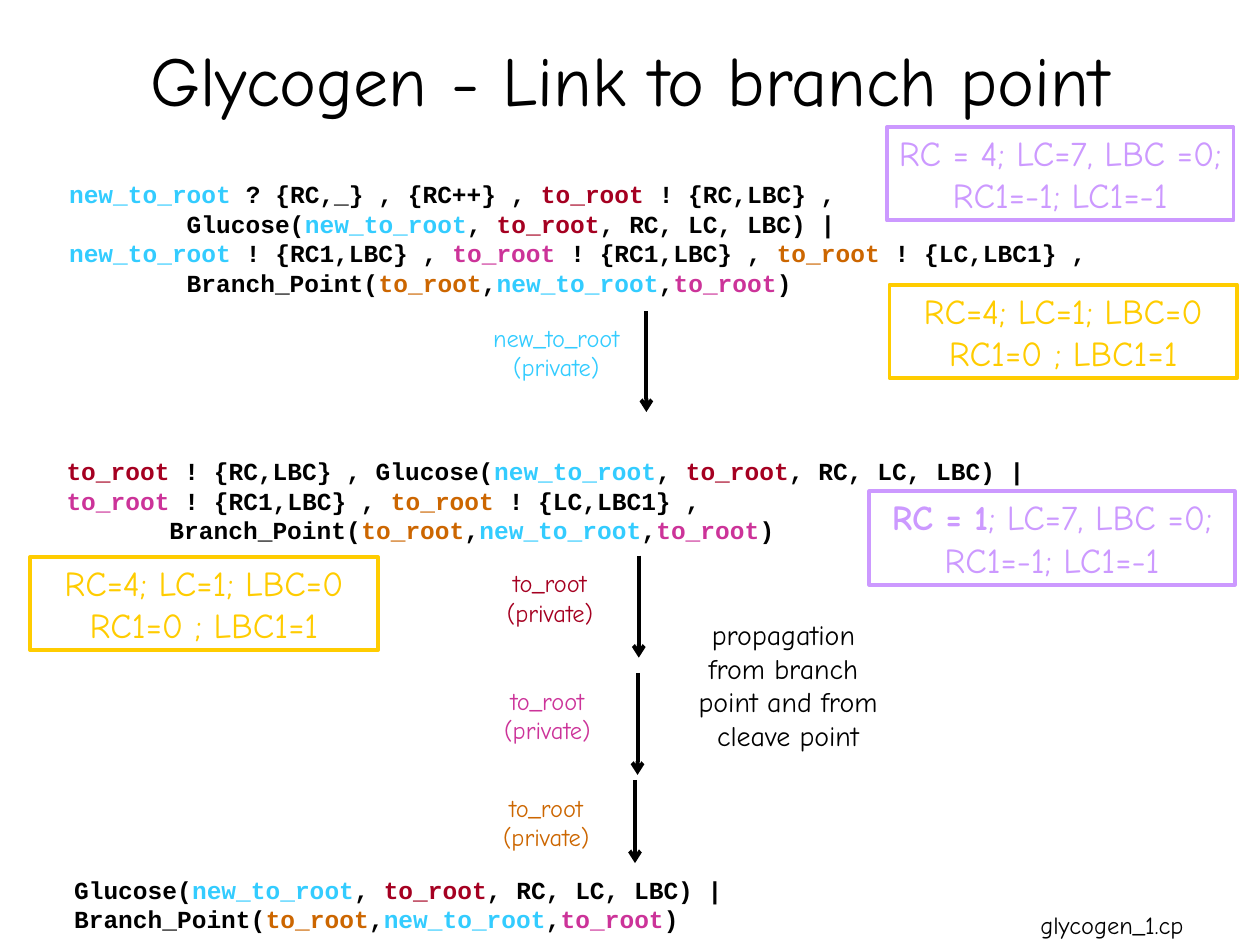
from copy import deepcopy
from dataclasses import dataclass

from lxml import etree
from pptx import Presentation
from pptx.dml.color import RGBColor
from pptx.enum.shapes import MSO_CONNECTOR, MSO_SHAPE
from pptx.enum.text import MSO_ANCHOR, MSO_AUTO_SIZE, PP_ALIGN
from pptx.oxml.ns import qn
from pptx.util import Inches, Pt

RECT = MSO_SHAPE.RECTANGLE
STRAIGHT = MSO_CONNECTOR.STRAIGHT
MIDDLE = MSO_ANCHOR.MIDDLE
FIT, FIXED = MSO_AUTO_SIZE.SHAPE_TO_FIT_TEXT, MSO_AUTO_SIZE.NONE
LEFT, CENTER = PP_ALIGN.LEFT, PP_ALIGN.CENTER


@dataclass(frozen=True)
class Theme:
    hand: str = "Comic Neue"
    mono: str = "Courier New"
    black: str = "000000"
    white: str = "FFFFFF"
    sky: str = "33CCFF"
    red: str = "A50021"
    pink: str = "CC3399"
    orange: str = "CC6600"
    gold: str = "FFCC00"
    lilac: str = "CC99FF"
    title: int = 40
    state: int = 20
    note: int = 16
    small: int = 14
    line: float = 2.25


THEME = Theme()
NAMES = {
    "n": ("new_to_root", THEME.sky),
    "r": ("to_root", THEME.red),
    "p": ("to_root", THEME.pink),
    "o": ("to_root", THEME.orange),
}


def rgb(tint):
    return RGBColor.from_string(tint)


class Page:
    def __init__(self, deck, theme):
        self.theme = theme
        self.slide = deck.slides.add_slide(deck.slide_layouts[5])
        self.shapes = self.slide.shapes

    def put(self, frame, paras, size, font, align=CENTER, wrap=False, fit=FIXED):
        frame.word_wrap = wrap
        frame.auto_size = fit
        frame.vertical_anchor = MIDDLE
        for i, parts in enumerate(paras):
            para = frame.add_paragraph() if i else frame.paragraphs[0]
            para.alignment = align
            for text, tint, bold in parts:
                for j, line in enumerate(text.split("\n")):
                    if j:
                        para.add_line_break()
                        mark = para._p.findall(qn("a:br"))[-1]
                        mark.append(deepcopy(para.runs[-1]._r.rPr))
                    run = para.add_run()
                    run.text = line
                    run.font.name = font
                    run.font.size = Pt(size)
                    run.font.bold = bold
                    run.font.color.rgb = rgb(tint)

    def title(self, text, x, y, w, h):
        shape = self.shapes.title
        shape.left, shape.top = Inches(x), Inches(y)
        shape.width, shape.height = Inches(w), Inches(h)
        parts = [(text, self.theme.black, False)]
        self.put(shape.text_frame, [parts], self.theme.title, self.theme.hand, wrap=True)

    def code(self, lines, x, y, h):
        box = self.shapes.add_textbox(Inches(x), Inches(y), Inches(9.27), Inches(h))
        paras = []
        for line in lines:
            head, *rest = line.split("@")
            parts = [(head, self.theme.black, True)] if head else []
            for piece in rest:
                name, tint = NAMES[piece[0]]
                parts.append((name, tint, True))
                if piece[1:]:
                    parts.append((piece[1:], self.theme.black, True))
            paras.append(parts)
        self.put(box.text_frame, paras, self.theme.small, self.theme.mono, LEFT, True, FIT)

    def label(self, key, x, y, w):
        name, tint = NAMES[key]
        box = self.shapes.add_textbox(Inches(x), Inches(y), Inches(w), Inches(0.57))
        parts = [(name + "\n(private)", tint, False)]
        self.put(box.text_frame, [parts], self.theme.small, self.theme.hand, fit=FIT)

    def panel(self, paras, x, y, w, h, size, edge=None, wrap=False):
        shape = self.shapes.add_shape(RECT, Inches(x), Inches(y), Inches(w), Inches(h))
        shape.shadow.inherit = False
        shape.fill.solid()
        shape.fill.fore_color.rgb = rgb(self.theme.white)
        if edge:
            shape.line.color.rgb = rgb(edge)
            shape.line.width = Pt(self.theme.line)
        else:
            shape.line.fill.background()
        self.put(shape.text_frame, paras, size, self.theme.hand, wrap=wrap)

    def gold(self, x, y):
        tint = self.theme.gold
        paras = [[(text, tint, False)] for text in ("RC=4; LC=1; LBC=0", "RC1=0 ; LBC1=1")]
        self.panel(paras, x, y, 2.76, 0.74, self.theme.state, tint)

    def lilac(self, count, bold, x, y, w):
        tint = self.theme.lilac
        tail = "; LC=7, LBC =0;\nRC1=-1; LC1=-1"
        paras = [[(count, tint, bold), (tail, tint, False)]]
        self.panel(paras, x, y, w, 0.74, self.theme.state, tint)

    def plain(self, text, x, y, w, h, size, wrap=False):
        self.panel([[(text, self.theme.black, False)]], x, y, w, h, size, wrap=wrap)

    def arrow(self, x, top, end):
        link = self.shapes.add_connector(STRAIGHT, Inches(x), Inches(top), Inches(x), Inches(end))
        link.line.color.rgb = rgb(self.theme.black)
        link.line.width = Pt(self.theme.line)
        props = link._element.spPr
        etree.SubElement(props.find(qn("a:ln")), qn("a:tailEnd"), type="arrow")
        etree.SubElement(props, qn("a:effectLst"))


def main():
    deck = Presentation()
    deck.slide_width, deck.slide_height = Inches(10), Inches(7.5)
    page = Page(deck, THEME)
    page.title("Glycogen - Link to branch point", 0.75, 0, 8.5, 1.25)

    page.code([
        "@n ? {RC,_} , {RC++} , @r ! {RC,LBC} , \n        Glucose(@n, @r, RC, LC, LBC) |",
        "@n ! {RC1,LBC} , @p ! {RC1,LBC} , @o ! {LC,LBC1} ,   \n        Branch_Point(@o,@n,@p)",
    ], 0.45, 1.37, 1.04)
    page.gold(7.06, 2.26)
    page.lilac("RC = 4", False, 7.04, 1.01, 2.75)

    page.code([
        "@r ! {RC,LBC} , Glucose(@n, @r, RC, LC, LBC) |",
        "@p ! {RC1,LBC} , @o ! {LC,LBC1} , \n       Branch_Point(@o,@n,@p)",
    ], 0.43, 3.57, 0.8)
    page.arrow(5.13, 2.47, 3.27)
    page.label("n", 3.81, 2.51, 1.21)
    page.lilac("RC = 1", True, 6.9, 3.9, 2.9)
    page.gold(0.24, 4.42)

    steps = [("r", 5.07, 4.41, 5.22, 3.92), ("p", 5.06, 5.34, 6.15, 3.9), ("o", 5.04, 6.19, 6.85, 3.89)]
    for key, x, top, end, left in steps:
        page.arrow(x, top, end)
        page.label(key, left, top + 0.05, 0.89)
    page.plain("propagation \nfrom branch \npoint and from cleave point",
               5.29, 4.88, 1.93, 1.11, THEME.note, True)
    page.code(["Glucose(@n, @r, RC, LC, LBC) | Branch_Point(@o,@n,@p)"], 0.49, 6.89, 0.57)
    page.plain("glycogen_1.cp", 7.65, 7.18, 2.35, 0.32, THEME.small)
    deck.save("out.pptx")


if __name__ == "__main__":
    main()
